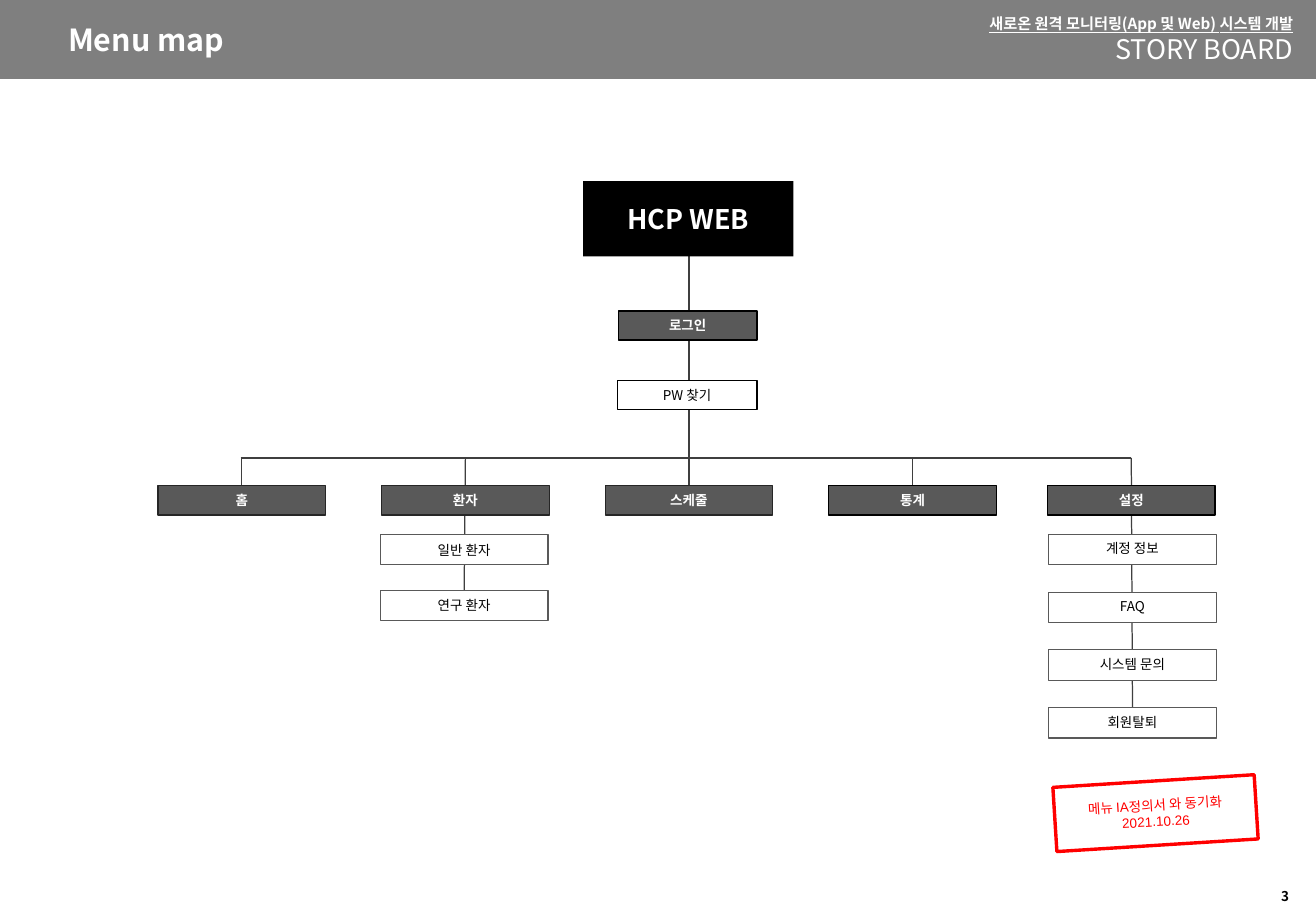
from lxml import etree
from pptx import Presentation
from pptx.dml.color import RGBColor
from pptx.enum.shapes import MSO_CONNECTOR, MSO_SHAPE
from pptx.enum.text import MSO_ANCHOR, PP_ALIGN
from pptx.oxml.ns import qn
from pptx.util import Inches, Pt

RECT, STRAIGHT = MSO_SHAPE.RECTANGLE, MSO_CONNECTOR.STRAIGHT
TOP, MIDDLE = MSO_ANCHOR.TOP, MSO_ANCHOR.MIDDLE
LEFT, CENTER, RIGHT = PP_ALIGN.LEFT, PP_ALIGN.CENTER, PP_ALIGN.RIGHT
W, H = 10.83, 7.5
KOREAN = "Noto Sans CJK KR"
BLACK, WHITE, DARK, EDGE, RED = "000000", "FFFFFF", "595959", "262626", "FF0000"

# Menu grid
COL_X, COL_STEP, BOX_W = 1.3, 1.84, 1.38
MENU_Y, MENU_H, ITEM_Y, ITEM_H = 4, 0.24, 4.4, 0.25
BUS_Y = 3.77


def color(hex_string):
    return RGBColor.from_string(hex_string)


def write(p, text, size, hue, bold=False, align=CENTER, font=KOREAN, underline=False):
    p.text = text
    p.alignment = align
    f = p.font
    f.name, f.size, f.bold = font, Pt(size), bold
    if underline:
        f.underline = True
    f.color.rgb = color(hue)
    props = p._p.pPr.find(qn("a:defRPr"))
    etree.SubElement(props, qn("a:ea")).set("typeface", KOREAN)


def text_box(slide, x, y, w, h, inset=0.05, anchor=TOP):
    s = slide.shapes.add_textbox(Inches(x), Inches(y), Inches(w), Inches(h))
    tf = s.text_frame
    tf.word_wrap = True
    tf.vertical_anchor = anchor
    tf.margin_left = tf.margin_right = tf.margin_top = tf.margin_bottom = Inches(inset)
    return tf


def box(slide, x, y, w, h, fill, line=None, width=0.75, anchor=MIDDLE):
    s = slide.shapes.add_shape(RECT, Inches(x), Inches(y), Inches(w), Inches(h))
    s.shadow.inherit = False
    s.fill.solid()
    s.fill.fore_color.rgb = color(fill)
    if line:
        s.line.color.rgb = color(line)
        s.line.width = Pt(width)
    else:
        s.line.fill.background()
    s.text_frame.word_wrap = True
    s.text_frame.vertical_anchor = anchor
    return s


def node(slide, text, x, y, w, h, fill=DARK, line=BLACK, size=8, anchor=MIDDLE):
    s = box(slide, x, y, w, h, fill, line, anchor=anchor)
    light = fill == WHITE
    write(s.text_frame.paragraphs[0], text, size, BLACK if light else WHITE, not light)


def link(slide, x1, y1, x2, y2):
    s = slide.shapes.add_connector(STRAIGHT, Inches(x1), Inches(y1), Inches(x2), Inches(y2))
    s.line.color.rgb = color("3F3F3F")
    s.line.width = Pt(0.75)
    etree.SubElement(s._element.spPr, qn("a:effectLst"))


def header(slide, x, y, w, h):
    box(slide, x, y, w, h, "7F7F7F")
    tf = text_box(slide, x + 0.27, y + 0.13, 6.54, 0.38, 0.04, MIDDLE)
    tf.margin_left = Inches(0.29)
    write(tf.paragraphs[0], "Menu map", 18, WHITE, True, LEFT)
    tf = text_box(slide, x + w - 3.01, y + 0.07, 2.87, 0.53)
    write(tf.paragraphs[0], "새로온 원격 모니터링(App 및 Web) 시스템 개발", 9, WHITE, True, RIGHT,
          underline=True)
    write(tf.add_paragraph(), "STORY BOARD", 16, WHITE, align=RIGHT)


def entry(slide, center, y):
    """Root, login and password boxes on one trunk."""
    link(slide, center, y + 0.62, center, MENU_Y)
    node(slide, "HCP WEB", center - 0.87, y, 1.73, 0.62, BLACK, None, 16)
    node(slide, "로그인", center - 0.58, y + 1.07, 1.14, 0.24)
    node(slide, "PW 찾기", center - 0.59, y + 1.64, 1.15, 0.24, WHITE)


def menu(slide, x, title, line, items=(), step=0.46, shift=0, anchor=MIDDLE):
    """Menu heading with its items hung below the bus line."""
    center = x + BOX_W / 2
    end = ITEM_Y + (len(items) - 1) * step if items else MENU_Y
    link(slide, center, BUS_Y, center + shift, end)
    node(slide, title, x, MENU_Y, BOX_W, MENU_H, line=line)
    for i, item in enumerate(items):
        node(slide, item, x + shift, ITEM_Y + i * step, BOX_W, ITEM_H, WHITE, DARK,
             anchor=anchor)


def stamp(slide, x, y, w, h):
    s = box(slide, x, y, w, h, WHITE, RED, 2)
    s.rotation = 356.4
    tf = s.text_frame
    write(tf.paragraphs[0], "메뉴 IA정의서 와 동기화", 8, RED, font="Arial")
    write(tf.add_paragraph(), "2021.10.26", 8, RED, font="Arial")


def main():
    prs = Presentation()
    prs.slide_width, prs.slide_height = Inches(W), Inches(H)
    slide = prs.slides.add_slide(prs.slide_layouts[6])

    header(slide, 0, 0, W, 0.65)
    entry(slide, 5.67, 1.49)

    # Menu columns
    link(slide, 1.98, BUS_Y, 9.31, BUS_Y)
    columns = [
        ("홈", EDGE, {}),
        ("환자", EDGE, {"items": ("일반 환자", "연구 환자"), "shift": -0.01}),
        ("스케줄", EDGE, {}),
        ("통계", BLACK, {}),
    ]
    for i, (title, line, extra) in enumerate(columns):
        menu(slide, COL_X + i * COL_STEP, title, line, **extra)
    menu(slide, 8.62, "설정", BLACK, ("계정 정보", "FAQ", "시스템 문의", "회원탈퇴"),
         step=0.475, shift=0.01, anchor=TOP)

    # Sync stamp and page number
    stamp(slide, 8.68, 6.43, 1.66, 0.53)
    tf = text_box(slide, W - 0.38, H - 0.24, 0.25, 0.24)
    write(tf.paragraphs[0], "3", 8, BLACK, True)

    prs.save("out.pptx")


if __name__ == "__main__":
    main()
